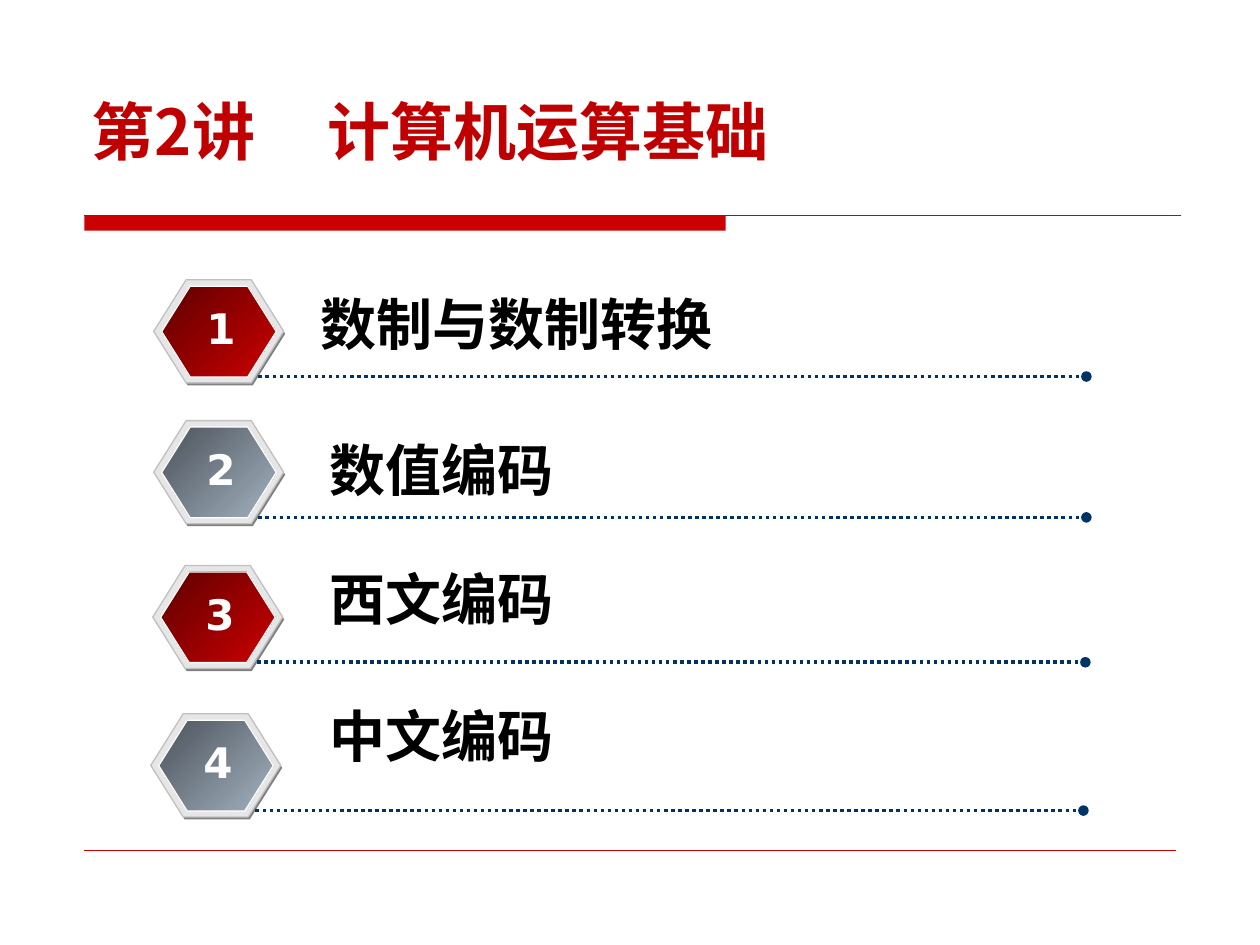
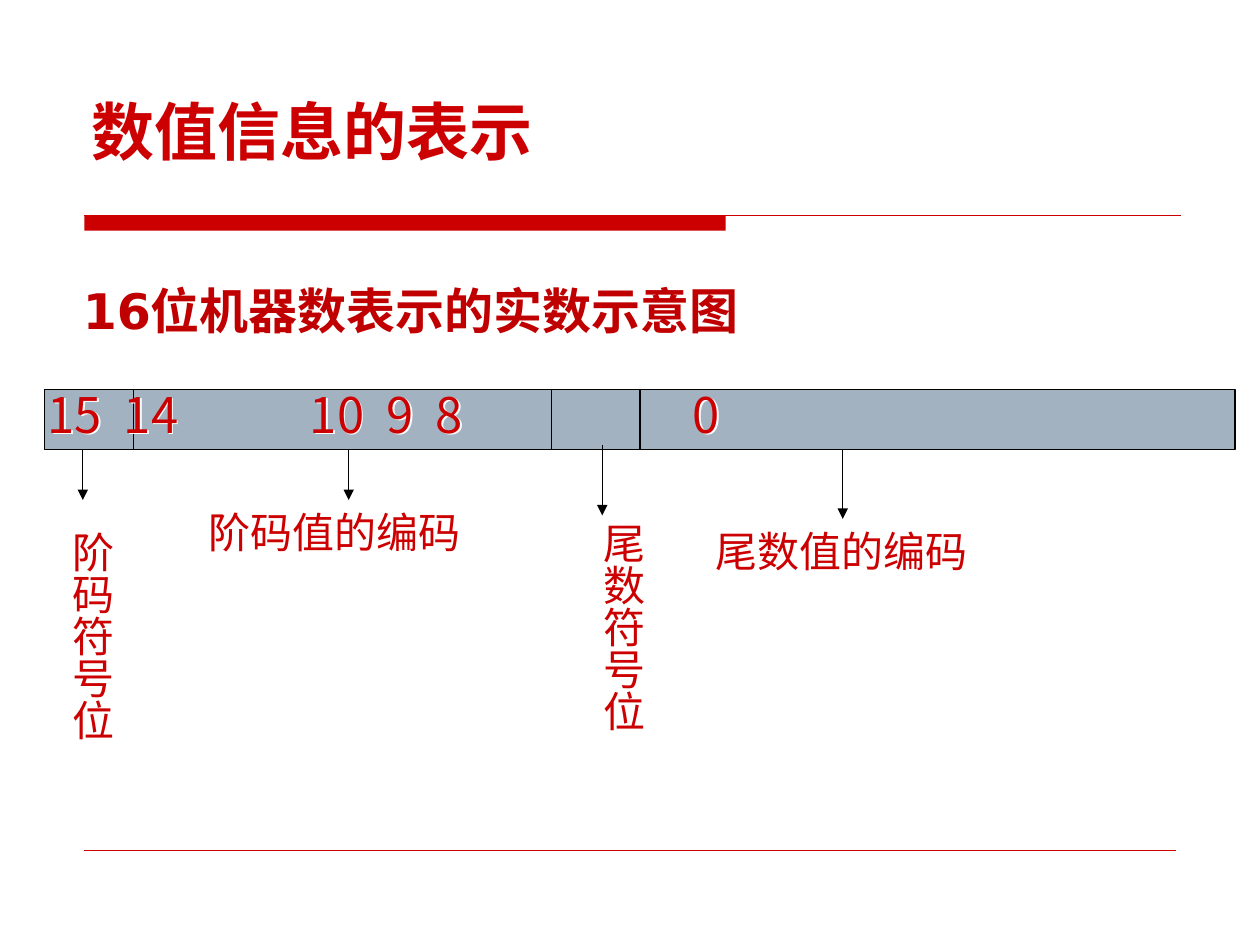
from lxml import etree
from pptx import Presentation
from pptx import util as u
from pptx.dml.color import RGBColor
from pptx.enum import dml, shapes, text
from pptx.oxml import ns

COLORS = {
    "red": "CC0000", "title red": "C00000", "dark red": "5E0000",
    "slate": "A3B2C1", "dark slate": "4B5259", "navy": "003366",
    "gray": "808080", "silver": "C0C0C0", "light gray": "E6E6E6",
    "black": "000000", "white": "FFFFFF",
}
RGB = {name: RGBColor.from_string(value) for name, value in COLORS.items()}
SANS, CJK = "DejaVu Sans", "Noto Sans CJK SC"


def write(box, words, color, font, frame=None, align=text.PP_ALIGN.LEFT, tabs=()):
    """Fill a box with one formatted paragraph and return that paragraph."""
    for name, value in {"word_wrap": True, **(frame or {})}.items():
        setattr(box.text_frame, name, value)
    para = box.text_frame.paragraphs[0]
    para.alignment = align
    if tabs:
        stops = etree.SubElement(para._p.get_or_add_pPr(), ns.qn("a:tabLst"))
        for stop in tabs:
            etree.SubElement(stops, ns.qn("a:tab"), pos=str(u.Cm(stop)), algn="l")
    span = para.add_run()
    span.text = words
    for name, value in font.items():
        setattr(span.font, name, value)
    span.font.color.rgb = RGB[color]
    latin = span.font._element.find(ns.qn("a:latin"))
    latin.addnext(etree.Element(ns.qn("a:ea"), typeface=CJK))
    return para


def add_line(page, x1, y1, x2, y2, color="black", width=0.75, dash=None, end=None):
    """Draw a straight line, given in centimetres, with an optional end mark."""
    line = page.shapes.add_connector(
        shapes.MSO_CONNECTOR.STRAIGHT, u.Cm(x1), u.Cm(y1), u.Cm(x2), u.Cm(y2))
    line.line.color.rgb = RGB[color]
    line.line.width = u.Pt(width)
    line.line.dash_style = dash
    if end:
        etree.SubElement(line.line._get_or_add_ln(), ns.qn("a:tailEnd"), type=end)
    etree.SubElement(line._element.spPr, ns.qn("a:effectLst"))
    return line


deck = Presentation()
deck.slide_width, deck.slide_height = u.Cm(25.4), u.Cm(19.05)
layout = deck.slide_layouts[5]

# Title position shared by the slides
heading = layout.placeholders[0]
heading.left, heading.top = u.Cm(1.6), u.Cm(0.84)
heading.width, heading.height = u.Cm(22.23), u.Cm(2.67)

# Slides and their titles
pages = []
title_font = {"size": u.Pt(36), "bold": True, "name": CJK}
title_frame = {"vertical_anchor": text.MSO_ANCHOR.BOTTOM,
               "auto_size": text.MSO_AUTO_SIZE.NONE}
for words, color, spacing, tabs in (
        ("第2讲\t计算机运算基础", "title red", 1.2, [4.75]),
        ("数值信息的表示", "red", 1.0, [])):
    page = deck.slides.add_slide(layout)
    para = write(page.shapes.title, words, color, title_font, title_frame, tabs=tabs)
    para.line_spacing = spacing
    para.space_before = u.Pt(0)
    pages.append(page)
outline, real_number = pages

# Title band, title rule and footer rule, moved to the master
band = outline.shapes.add_shape(
    shapes.MSO_SHAPE.RECTANGLE, u.Cm(1.7), u.Cm(4.34), u.Cm(12.93), u.Cm(0.31))
band.shadow.inherit = False
band.fill.solid()
band.fill.fore_color.rgb = RGB["red"]
band.line.fill.background()
title_rule = add_line(outline, 1.7, 4.35, 23.8, 4.35, "red")
footer_rule = add_line(outline, 1.7, 17.14, 23.7, 17.14, "red", 0.25)
for shared in (band, title_rule, footer_rule):
    deck.slide_master.shapes._spTree.append(shared._element)

# Slide 1: numbered topics
topics = [  # words, badge left and top, label left and top
    ("数制与数制转换", 3.1, 5.64, 6.22, 5.72),
    ("数值编码", 3.1, 8.48, 6.4, 8.66),
    ("西文编码", 3.08, 11.4, 6.4, 11.25),
    ("中文编码", 3.04, 14.39, 6.4, 14.02),
]
badge_layers = [  # offset x, offset y, width, height, fill, outline
    (0.03, 0.05, 2.62, 2.08, "gray", None),
    (0, 0, 2.62, 2.08, "light gray", "silver"),
    (0.16, 0.13, 2.31, 1.83, None, "white"),
]
gradients = [("dark red", "red"), ("dark slate", "slate")]
for index, (topic, left, top, label_left, label_top) in enumerate(topics):
    for dx, dy, width, height, fill, edge in badge_layers:
        badge = outline.shapes.add_shape(
            shapes.MSO_SHAPE.HEXAGON, u.Cm(left + dx), u.Cm(top + dy),
            u.Cm(width), u.Cm(height))
        badge.shadow.inherit = False
        badge.adjustments[0] = 0.314
        if fill:
            badge.fill.solid()
            badge.fill.fore_color.rgb = RGB[fill]
        else:
            badge.fill.gradient()
            badge.fill.gradient_angle = 315
            for stop, color in zip(badge.fill.gradient_stops, gradients[index % 2]):
                stop.color.rgb = RGB[color]
        if edge:
            badge.line.color.rgb = RGB[edge]
            badge.line.width = u.Pt(0.75)
        else:
            badge.line.fill.background()
    add_line(outline, left + 2.11, top + 1.95, left + 18.8, top + 1.95,
             "navy", 2, dml.MSO_LINE.ROUND_DOT, "oval")
    label = outline.shapes.add_textbox(
        u.Cm(label_left), u.Cm(label_top), u.Cm(15.5), u.Cm(1.62))
    write(label, topic, "black", {"size": u.Pt(32), "bold": True, "name": SANS})
    number = outline.shapes.add_textbox(
        u.Cm(left + 0.81), u.Cm(top + 0.33), u.Cm(0.99), u.Cm(1.27))
    write(number, str(index + 1), "white",
          {"size": u.Pt(24), "bold": True, "name": SANS},
          {"word_wrap": False}, text.PP_ALIGN.CENTER)

# Slide 2: 16-bit word with its field dividers
bar_top, bar_bottom = 7.85, 9.07
word_bar = real_number.shapes.add_shape(
    shapes.MSO_SHAPE.RECTANGLE, u.Cm(0.9), u.Cm(bar_top),
    u.Cm(24), u.Cm(bar_bottom - bar_top))
word_bar.fill.solid()
word_bar.fill.fore_color.rgb = RGB["slate"]
word_bar.line.color.rgb = RGB["black"]
word_bar.line.width = u.Pt(0.75)
for x in (2.69, 11.12, 12.9):
    add_line(real_number, x, bar_top, x, bar_bottom)

# Field names, the sign bits written vertically
field_font = {"size": u.Pt(24), "name": CJK}
upright = {"margin_left": u.Cm(0.13), "margin_right": u.Cm(0.13),
           "margin_top": u.Cm(0.25), "margin_bottom": u.Cm(0.25)}
for words, left, top, width, height, vertical in (
        ("阶码符号位", 0.97, 10.46, 1.52, 4.85, True),
        ("尾数符号位", 11.68, 10.29, 1.52, 5.05, True),
        ("阶码值的编码", 3.96, 10.08, 6.88, 1.27, False),
        ("尾数值的编码", 14.17, 10.46, 7.67, 1.27, False)):
    field = real_number.shapes.add_textbox(
        u.Cm(left), u.Cm(top), u.Cm(width), u.Cm(height))
    write(field, words, "red", field_font, upright if vertical else None)
    if vertical:
        field.text_frame._txBody.bodyPr.set("vert", "eaVert")

# Arrows from the word to the field names
for x, start, end in ((12.14, 8.97, 10.39), (1.67, bar_bottom, 10.08),
                      (7.03, bar_bottom, 10.08), (16.99, bar_bottom, 10.46)):
    add_line(real_number, x, start, x, end, end="triangle")

# Bit numbers over the word
bits = real_number.shapes.add_textbox(u.Cm(0.71), u.Cm(7.62), u.Cm(24.51), u.Cm(2.62))
write(bits, "15\t14\t10\t9\t8\t0", "red", {"size": u.Pt(28), "name": CJK},
      tabs=(1.54, 5.29, 6.83, 7.82, 13.01))

# White shadow of the word and its bit numbers
for shape in (word_bar, bits):
    shape.shadow.inherit = False
    effects = shape._element.spPr.find(ns.qn("a:effectLst"))
    shadow = etree.SubElement(effects, ns.qn("a:outerShdw"),
                              dist=str(u.Pt(1.4)), dir="2700000", algn="ctr")
    etree.SubElement(shadow, ns.qn("a:srgbClr"), val=COLORS["white"])

# Subtitle
subtitle = real_number.shapes.add_textbox(u.Cm(1.42), u.Cm(5.54), u.Cm(15.54), u.Cm(1.45))
write(subtitle, "16位机器数表示的实数示意图", "title red",
      {"size": u.Pt(28), "bold": True, "name": SANS})

deck.save("out.pptx")
